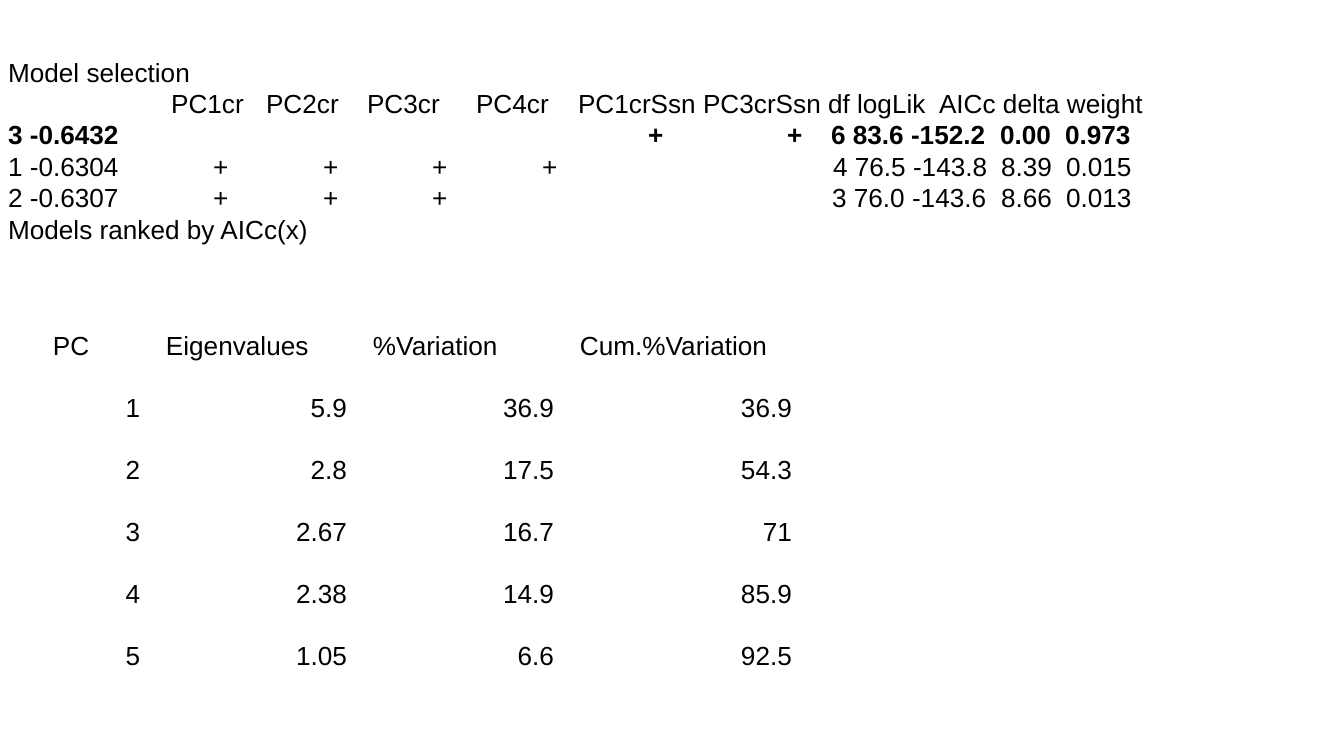
from pptx import Presentation
from pptx.dml.color import RGBColor
from pptx.enum.text import PP_ALIGN
from pptx.oxml.ns import qn
from pptx.util import Pt
from lxml import etree

RIGHT = PP_ALIGN.RIGHT
SCALE = 914400 / 134.4
COLORS = {"text": "000000"}
INSET = 13


def px(n):
    return round(n * SCALE)


def style(p, bold=False):
    p.font.name = "Arial"
    p.font.size = Pt(14)
    p.font.bold = bold
    p.font.color.rgb = RGBColor.from_string(COLORS["text"])


prs = Presentation()
prs.slide_width, prs.slide_height = px(1344), px(756)
s = prs.slides.add_slide(prs.slide_layouts[6])

lines = [
    ("Model selection", [], False),
    ("\tPC1cr\tPC2cr\tPC3cr\tPC4cr\tPC1crSsn PC3crSsn df logLik\tAICc delta weight",
     [163, 258, 359, 468, 570, 931], False),
    ("3 -0.6432\t+\t+\t6 83.6 -152.2\t0.00\t0.973", [640, 779, 823, 992, 1057], True),
    ("1 -0.6304\t+\t+\t+\t+\t4 76.5 -143.8\t8.39\t0.015",
     [205, 315, 424, 534, 825, 993, 1058], False),
    ("2 -0.6307\t+\t+\t+\t3 76.0 -143.6\t8.66\t0.013",
     [205, 315, 424, 824, 993, 1058], False),
    ("Models ranked by AICc(x)", [], False),
]
sp = s.shapes.add_textbox(px(-5), px(43), px(1470), px(441))
tf = sp.text_frame
tf.word_wrap = True
tf.margin_left = tf.margin_right = tf.margin_top = tf.margin_bottom = px(INSET)
for i, (text, stops, bold) in enumerate(lines):
    p = tf.add_paragraph() if i else tf.paragraphs[0]
    p.text = text
    if stops:
        tabs = etree.SubElement(p._p.get_or_add_pPr(), qn("a:tabLst"))
        for stop in stops:
            etree.SubElement(tabs, qn("a:tab"), pos=str(px(stop)), algn="l")
    style(p, bold)

rows = [
    ["PC", "Eigenvalues", "%Variation", "Cum.%Variation"],
    ["1", "5.9", "36.9", "36.9"],
    ["2", "2.8", "17.5", "54.3"],
    ["3", "2.67", "16.7", "71"],
    ["4", "2.38", "14.9", "85.9"],
    ["5", "1.05", "6.6", "92.5"],
]
widths = [113, 207, 207, 238]
table = s.shapes.add_table(len(rows), len(widths), px(40), px(319),
                           px(sum(widths)), px(26 * len(rows))).table
table.first_row = False
table.horz_banding = False
for column, width in zip(table.columns, widths):
    column.width = px(width)
for i, row in enumerate(rows):
    for j, text in enumerate(row):
        cell = table.cell(i, j)
        cell.fill.background()
        cell.margin_left = cell.margin_right = px(INSET)
        cell.margin_top = cell.margin_bottom = px(INSET)
        p = cell.text_frame.paragraphs[0]
        p.text = text
        if i:
            p.alignment = RIGHT
            p.line_spacing = 1.15
        style(p)

prs.save("out.pptx")
